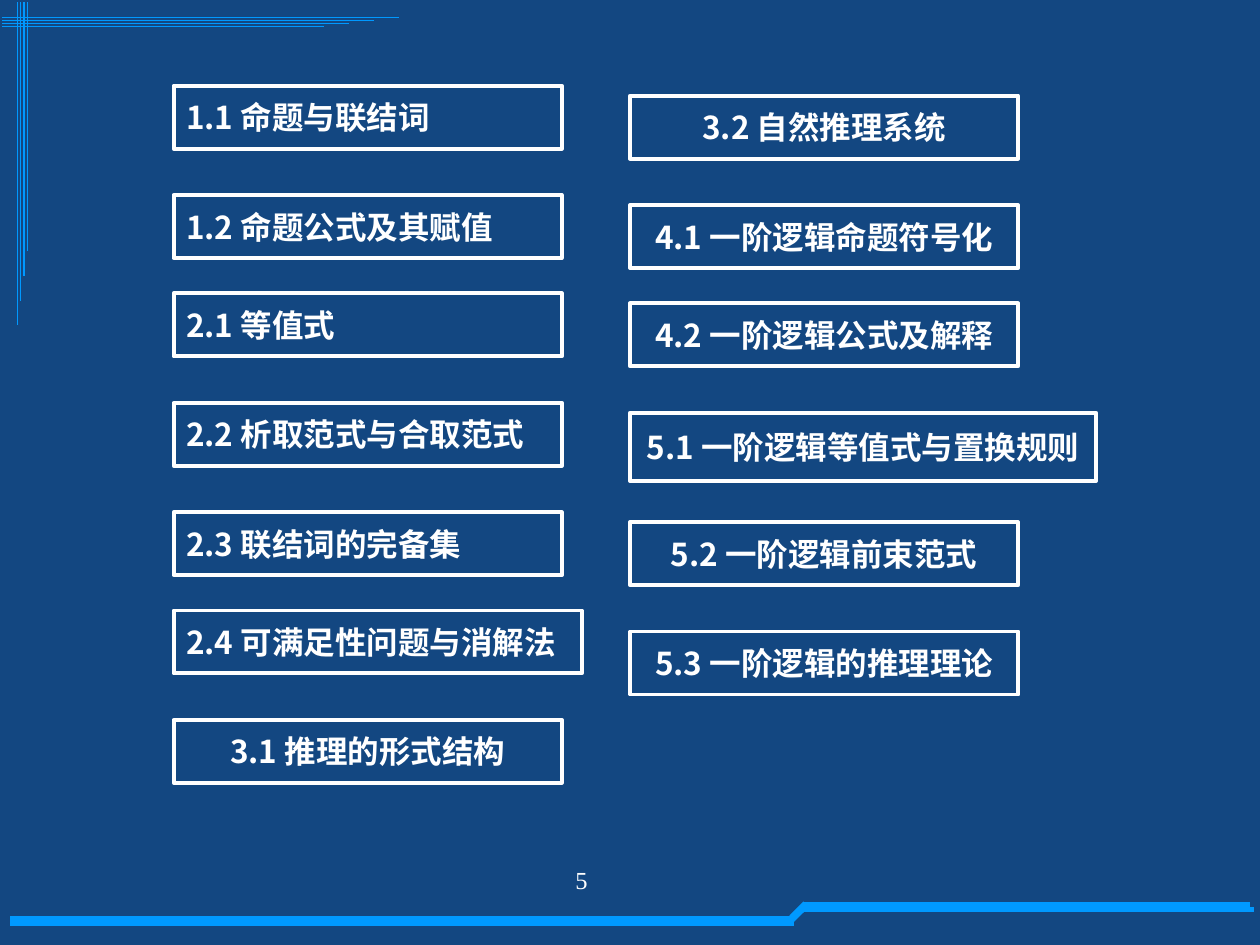
from dataclasses import dataclass
from itertools import accumulate
from typing import Any

import pptx
import pptx.dml.color
import pptx.enum.shapes
import pptx.enum.text
import pptx.oxml
import pptx.oxml.ns
import pptx.util

Pt = pptx.util.Pt
ALIGN = pptx.enum.text.PP_ALIGN

COLOURS = {"background": "134781", "accent": "0099FF", "white": "FFFFFF"}
TOPIC_FONT = {"name": "Noto Sans CJK SC", "size": Pt(18), "bold": True}
NUMBER_FONT = {"name": "Times New Roman", "size": Pt(14), "bold": False}
TOPIC_FRAME = {
    "word_wrap": False,
    "vertical_anchor": pptx.enum.text.MSO_ANCHOR.MIDDLE,
    "margin_left": Pt(7.2),
    "margin_right": Pt(7.2),
    "margin_top": Pt(3.6),
    "margin_bottom": Pt(3.6),
}
NUMBER_FRAME = {
    **TOPIC_FRAME,
    "word_wrap": True,
    "vertical_anchor": pptx.enum.text.MSO_ANCHOR.TOP,
    "margin_left": Pt(56),
}
WIDE_STEP = 62.5
NARROW_STEP = 56.2


@dataclass
class Topic:
    text: str
    alignment: Any = ALIGN.CENTER
    width: float = 221.8
    height: float = 36


@dataclass
class Column:
    left: float
    top: float
    steps: list[float]
    topics: list[Topic]


@dataclass
class Stroke:
    start: tuple[float, float]
    end: tuple[float, float]
    width: float


COLUMNS = [
    Column(
        99.2,
        49,
        [WIDE_STEP, NARROW_STEP, WIDE_STEP, WIDE_STEP, NARROW_STEP, WIDE_STEP],
        [
            Topic("1.1 命题与联结词", ALIGN.LEFT),
            Topic("1.2 命题公式及其赋值", ALIGN.LEFT),
            Topic("2.1 等值式", ALIGN.LEFT),
            Topic("2.2 析取范式与合取范式", ALIGN.LEFT),
            Topic("2.3 联结词的完备集", ALIGN.LEFT),
            Topic("2.4 可满足性问题与消解法", ALIGN.LEFT, width=233.2),
            Topic("3.1 推理的形式结构"),
        ],
    ),
    Column(
        360,
        54.7,
        [WIDE_STEP, NARROW_STEP, WIDE_STEP, WIDE_STEP, WIDE_STEP],
        [
            Topic("3.2 自然推理系统"),
            Topic("4.1 一阶逻辑命题符号化"),
            Topic("4.2 一阶逻辑公式及解释"),
            Topic("5.1 一阶逻辑等值式与置换规则", width=266.4, height=38.9),
            Topic("5.2 一阶逻辑前束范式"),
            Topic("5.3 一阶逻辑的推理理论"),
        ],
    ),
]

FOOTER_STROKES = [
    Stroke((5.8, 524.9), (453.6, 524.9), 3),
    Stroke((5.8, 527.8), (453.6, 527.8), 3),
    Stroke((452.2, 524.2), (460.1, 516.2), 3),
    Stroke((451.4, 527), (459.4, 519.1), 3),
    Stroke((458.6, 517), (714.2, 517), 3),
    Stroke((458.6, 519.8), (716.4, 519.8), 3),
]
CORNER_STROKES = [
    stroke
    for index in range(4)
    for stroke in (
        Stroke((1.4, 10 + 1.7 * index), (228 - 14.2 * index, 10 + 1.7 * index), 0.75),
        Stroke((10 + 1.9 * index, 1.4), (10 + 1.9 * index, 186 - 14.2 * index), 0.75),
    )
]


def colour(name: str) -> pptx.dml.color.RGBColor:
    return pptx.dml.color.RGBColor.from_string(COLOURS[name])


def apply_format(target: Any, values: dict[str, Any]) -> None:
    for name, value in values.items():
        setattr(target, name, value)


def write_text(shape: Any, text: str, alignment: Any, frame: dict, font: dict) -> None:
    apply_format(shape.text_frame, frame)
    paragraph = shape.text_frame.paragraphs[0]
    paragraph.alignment = alignment
    run = paragraph.add_run()
    run.text = text
    apply_format(run.font, font)
    run.font.color.rgb = colour("white")
    east_asian = pptx.oxml.parse_xml(
        f'<a:ea {pptx.oxml.ns.nsdecls("a")} typeface="{font["name"]}"/>'
    )
    run.font._element.append(east_asian)


def draw_stroke(slide: Any, stroke: Stroke) -> None:
    connector = slide.shapes.add_connector(
        pptx.enum.shapes.MSO_CONNECTOR.STRAIGHT,
        *(Pt(length) for length in stroke.start + stroke.end),
    )
    connector.line.color.rgb = colour("accent")
    connector.line.width = Pt(stroke.width)
    effects = pptx.oxml.parse_xml(f'<a:effectLst {pptx.oxml.ns.nsdecls("a")}/>')
    connector._element.spPr.append(effects)


def draw_topic(slide: Any, left: float, top: float, topic: Topic) -> None:
    shape = slide.shapes.add_shape(
        pptx.enum.shapes.MSO_SHAPE.RECTANGLE,
        *(Pt(length) for length in (left, top, topic.width, topic.height)),
    )
    shape.shadow.inherit = False
    shape.fill.background()
    shape.line.color.rgb = colour("white")
    shape.line.width = Pt(2.25)
    write_text(shape, topic.text, topic.alignment, TOPIC_FRAME, TOPIC_FONT)


def draw_column(slide: Any, column: Column) -> None:
    tops = accumulate(column.steps, initial=column.top)
    for top, topic in zip(tops, column.topics):
        draw_topic(slide, column.left, top, topic)


def main() -> None:
    presentation = pptx.Presentation()
    apply_format(presentation, {"slide_width": Pt(720), "slide_height": Pt(540)})
    slide = presentation.slides.add_slide(presentation.slide_layouts[6])
    slide.background.fill.solid()
    slide.background.fill.fore_color.rgb = colour("background")

    for stroke in FOOTER_STROKES + CORNER_STROKES:
        draw_stroke(slide, stroke)
    page_number = slide.shapes.add_textbox(Pt(224), Pt(491), Pt(167.8), Pt(37.4))
    write_text(page_number, "5", ALIGN.CENTER, NUMBER_FRAME, NUMBER_FONT)
    for column in COLUMNS:
        draw_column(slide, column)

    presentation.save("out.pptx")


if __name__ == "__main__":
    main()
